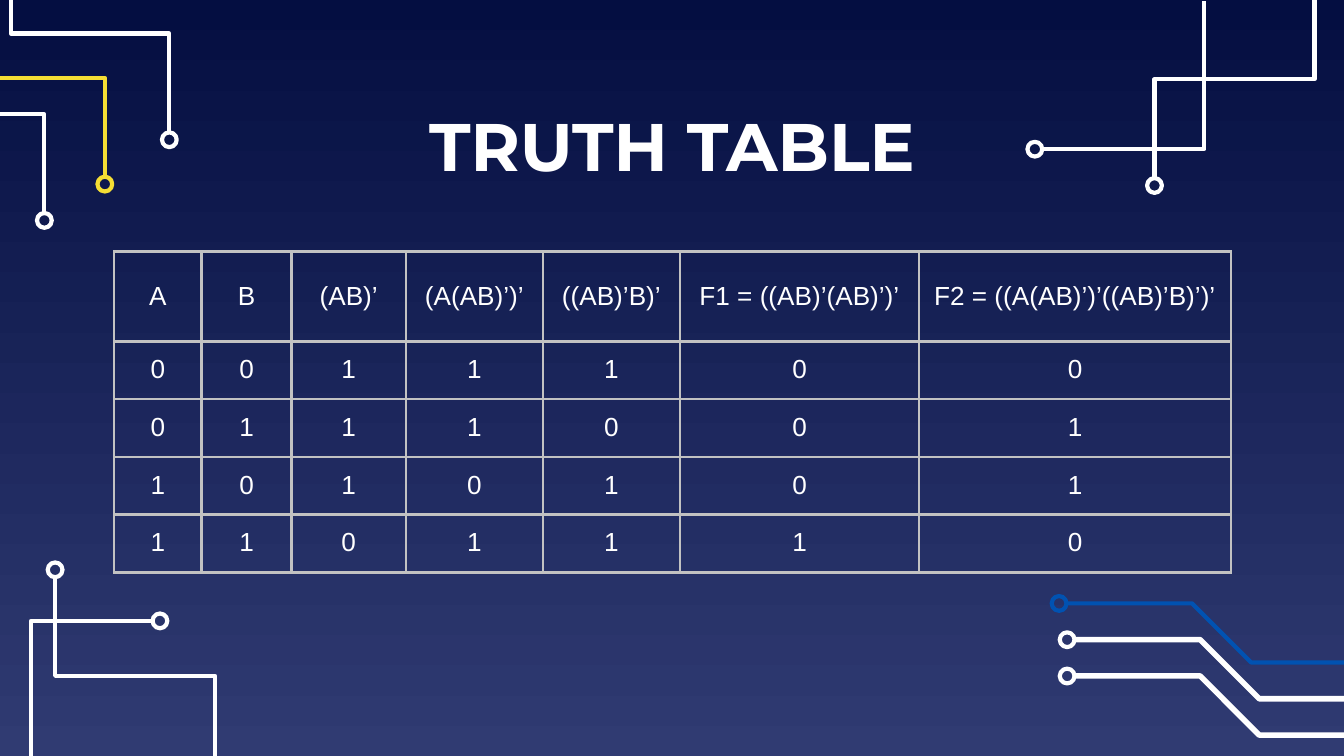
from math import hypot

from lxml import etree
from pptx import Presentation
from pptx.dml.color import RGBColor
from pptx.enum.shapes import MSO_SHAPE
from pptx.enum.text import MSO_ANCHOR, PP_ALIGN
from pptx.oxml.ns import qn
from pptx.util import Inches, Pt

OVAL = MSO_SHAPE.OVAL
CENTER = PP_ALIGN.CENTER
TOP, MIDDLE = MSO_ANCHOR.TOP, MSO_ANCHOR.MIDDLE

COLORS = {
    "top": "040E41",
    "bottom": "303B72",
    "white": "FFFFFF",
    "yellow": "F5DE34",
    "blue": "0152B1",
    "border": "C2C2C2",
}
WIDE = 10
HIGH = WIDE * 9 / 16
RADIUS = 0.055

# Each trace: color, line width, ring centre, then the corners of its line
TRACES = [
    # Top left
    ("white", 2.25, (0.33, 1.64), (0.33, 0.85), (0, 0.85)),
    ("yellow", 2.25, (0.78, 1.37), (0.78, 0.58), (0, 0.58)),
    ("white", 2.25, (1.26, 1.04), (1.26, 0.25), (0.08, 0.25), (0.08, 0)),
    # Top right
    ("white", 2.25, (7.7, 1.11), (8.96, 1.11), (8.96, 0.01)),
    ("white", 2.25, (8.59, 1.38), (8.59, 0.59), (9.78, 0.59), (9.78, 0)),
    # Bottom left
    ("white", 2.25, (0.41, 4.24), (0.41, 5.03), (1.6, 5.03), (1.6, HIGH)),
    ("white", 2.25, (1.19, 4.62), (0.23, 4.62), (0.23, HIGH)),
]
# Bottom right: three parallel traces with one slanted step
BUNDLE = [("blue", 2.25, 7.88, 4.49), ("white", 3, 7.94, 4.76), ("white", 3, 7.94, 5.03)]

COLS = [0.65, 0.67, 0.85, 1.02, 1.02, 1.78, 2.32]
ROWS = [0.67] + [0.43] * 4
CELLS = [
    ["A", "B", "(AB)’", "(A(AB)’)’", "((AB)’B)’",
     "F1 = ((AB)’(AB)’)’", "F2 = ((A(AB)’)’((AB)’B)’)’"],
    "0011100",
    "0111001",
    "1010101",
    "1101110",
]


def color(name):
    return RGBColor.from_string(COLORS[name])


def write(frame, text, size=14, font="Arial", bold=False):
    para = frame.paragraphs[0]
    para.alignment = CENTER
    run = para.add_run()
    run.text = text
    run.font.size = Pt(size)
    run.font.name = font
    run.font.bold = bold
    run.font.color.rgb = color("white")


def outline(shape, name, width):
    shape.shadow.inherit = False
    shape.fill.background()
    shape.line.color.rgb = color(name)
    shape.line.width = Pt(width)


def add_trace(slide, name, width, ring, *points):
    # The line starts on the rim of the ring
    (x, y), (next_x, next_y) = ring, points[0]
    part = RADIUS / hypot(next_x - x, next_y - y)
    start = (x + (next_x - x) * part, y + (next_y - y) * part)
    first, *rest = [(Inches(a), Inches(b)) for a, b in (start, *points)]
    line = slide.shapes.build_freeform(*first)
    line.add_line_segments(rest, close=False)
    outline(line.convert_to_shape(), name, width)

    side = Inches(2 * RADIUS)
    dot = slide.shapes.add_shape(
        OVAL, Inches(x - RADIUS), Inches(y - RADIUS), side, side)
    outline(dot, name, 2.25)


def add_border(cell):
    props = cell._tc.get_or_add_tcPr()
    for i, tag in enumerate(("a:lnL", "a:lnR", "a:lnT", "a:lnB")):
        line = etree.Element(qn(tag), w=str(Pt(1.5)))
        fill = etree.SubElement(line, qn("a:solidFill"))
        etree.SubElement(fill, qn("a:srgbClr"), val=COLORS["border"])
        props.insert(i, line)


def add_grid(slide):
    table = slide.shapes.add_table(
        len(ROWS), len(COLS), Inches(0.85), Inches(1.87),
        Inches(sum(COLS)), Inches(sum(ROWS))).table
    table.first_row = table.horz_banding = False
    for col, width in zip(table.columns, COLS):
        col.width = Inches(width)
    for r, (row, height) in enumerate(zip(table.rows, ROWS)):
        row.height = Inches(height)
        for cell, text in zip(row.cells, CELLS[r]):
            cell.fill.background()
            cell.vertical_anchor = TOP if r else MIDDLE
            cell.margin_left = cell.margin_right = Inches(0.1)
            cell.margin_top = cell.margin_bottom = Inches(0.1)
            write(cell.text_frame, text)
            add_border(cell)


def add_title(slide, text):
    box = slide.shapes.add_textbox(Inches(3), Inches(0.68), Inches(4), Inches(0.79))
    frame = box.text_frame
    frame.word_wrap = True
    frame.vertical_anchor = MIDDLE
    frame.margin_left = frame.margin_right = Inches(0.1)
    frame.margin_top = frame.margin_bottom = Inches(0.1)
    write(frame, text, size=36, font="Montserrat", bold=True)


def paint_back(slide):
    fill = slide.background.fill
    fill.gradient()
    fill.gradient_angle = 270
    for stop, name, place in zip(fill.gradient_stops, ("top", "bottom"), (0, 1)):
        stop.color.rgb = color(name)
        stop.position = place


def main():
    deck = Presentation()
    deck.slide_width, deck.slide_height = Inches(WIDE), Inches(HIGH)
    slide = deck.slides.add_slide(deck.slide_layouts[6])

    # Background and circuit traces
    paint_back(slide)
    for name, width, x, y in BUNDLE:
        add_trace(slide, name, width, (x, y),
                  (x + 0.99, y), (x + 1.43, y + 0.44), (WIDE, y + 0.44))
    for trace in TRACES:
        add_trace(slide, *trace)

    # Content
    add_grid(slide)
    add_title(slide, "TRUTH TABLE")
    deck.save("out.pptx")


if __name__ == "__main__":
    main()
